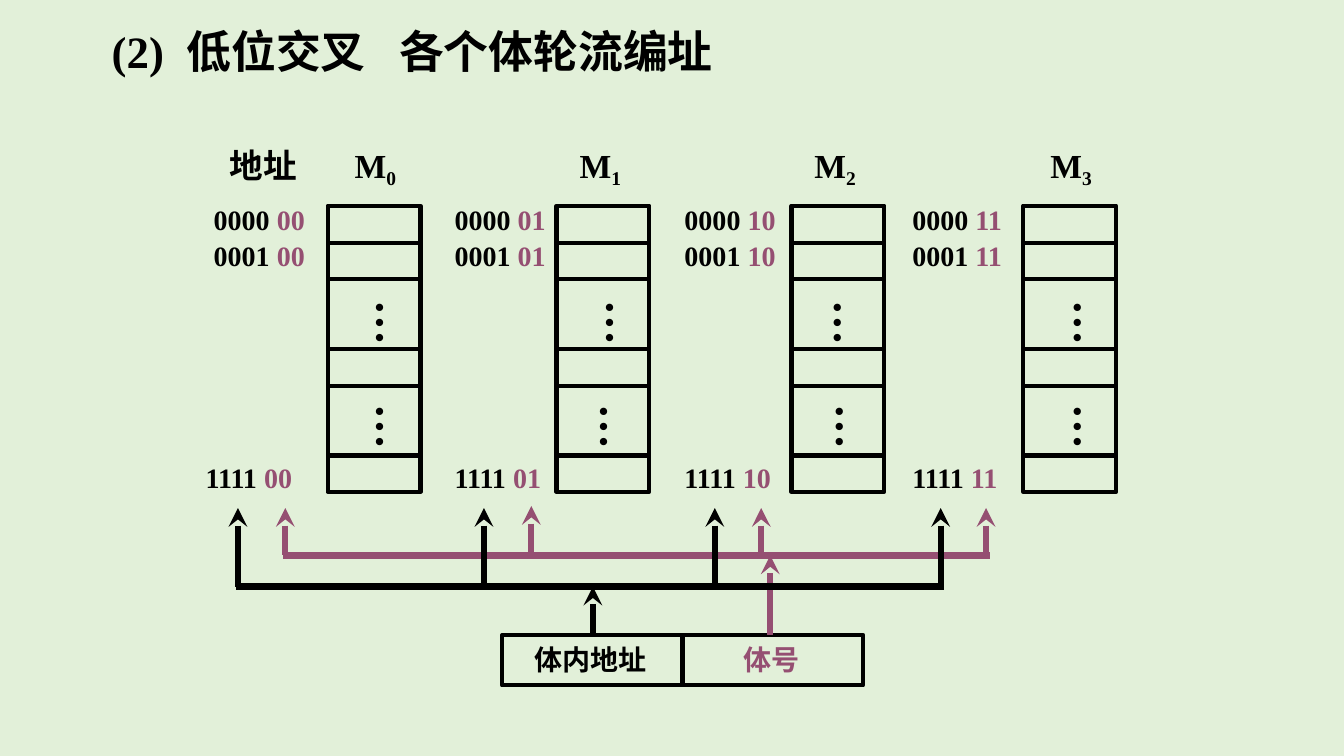
import itertools
import pptx
import pptx.dml.color
import pptx.enum.shapes
import pptx.enum.text
import pptx.oxml.ns
import pptx.util
from lxml import etree

Inches = pptx.util.Inches
COLORS = {"back": "E2F0D9", "ink": "000000", "plum": "954F72"}
FONT = "Times New Roman"


def tint(name):
    return pptx.dml.color.RGBColor.from_string(COLORS[name])


def write(para, text, size=20, color="ink", base=None, gap=None):
    run = para.add_run()
    run.text = text
    font = run.font
    font.name, font.size, font.bold = FONT, pptx.util.Pt(size), True
    font.color.rgb = tint(color)
    props = run._r.get_or_add_rPr()
    if base:
        props.set("baseline", str(base * 1000))
    if gap:
        props.set("spc", str(gap * 100))


class Board:
    def __init__(self, slide, thin=3, thick=4.5):
        self.slide, self.thin, self.thick = slide, thin, thick
        slide.background.fill.solid()
        slide.background.fill.fore_color.rgb = tint("back")

    def text(self, left, top, width, height, *runs, wrap=False, upright=False, inset=0.1):
        box = self.slide.shapes.add_textbox(
            Inches(left), Inches(top), Inches(width), Inches(height))
        frame = box.text_frame
        frame.word_wrap = wrap
        frame.margin_left = Inches(inset)
        frame.auto_size = pptx.enum.text.MSO_AUTO_SIZE.SHAPE_TO_FIT_TEXT
        if upright:
            frame._txBody.bodyPr.set("vert", "eaVert")
        for words, style in runs:
            write(frame.paragraphs[0], words, **style)

    def cell(self, left, top, width, height):
        box = self.slide.shapes.add_shape(
            pptx.enum.shapes.MSO_SHAPE.RECTANGLE,
            Inches(left), Inches(top), Inches(width), Inches(height))
        box.shadow.inherit = False
        box.fill.background()
        box.line.color.rgb = tint("ink")
        box.line.width = pptx.util.Pt(self.thin)

    def line(self, x1, y1, x2, y2, color, arrow=False):
        wire = self.slide.shapes.add_connector(
            pptx.enum.shapes.MSO_CONNECTOR.STRAIGHT,
            Inches(x1), Inches(y1), Inches(x2), Inches(y2))
        wire.line.color.rgb = tint(color)
        wire.line.width = pptx.util.Pt(self.thick)
        name = pptx.oxml.ns.qn
        if arrow:
            etree.SubElement(wire.line._get_or_add_ln(), name("a:headEnd"), type="stealth")
        etree.SubElement(wire._element.spPr, name("a:effectLst"))

    def bus(self, left, right, level, tips, color):
        self.line(left, level, right, level, color)
        for x, top in tips:
            self.line(x, top, x, level, color, arrow=True)


def main():
    deck = pptx.Presentation()
    deck.slide_width, deck.slide_height = Inches(13.33), Inches(7.5)
    board = Board(deck.slides.add_slide(deck.slide_layouts[6]))
    big, mid, plum = {"size": 32}, {"size": 24}, {"color": "plum"}

    board.text(1.01, 0.19, 6.46, 0.63, ("(2)", big), (" ", {"size": 32, "gap": 8}),
               ("低位交叉", big), wrap=True)
    board.text(3.86, 0.19, 6.46, 0.63, ("各个体轮流编址", big), wrap=True)
    board.text(2.18, 1.39, 0.88, 0.51, ("地址", mid))

    edges = [2.04, 2.41, 2.77, 3.46, 3.83, 4.52, 4.88]
    rows = [("0000 ", 1.96), ("0001 ", 2.32), ("1111 ", 4.52)]
    banks = [
        (3.25, 3.42, (3.49, 3.49), (2.02, 2.02, 1.94)),
        (5.52, 5.65, (5.77, 5.71), (4.41, 4.41, 4.41)),
        (7.85, 7.98, (8.03, 8.05), (6.69, 6.69, 6.69)),
        (10.15, 10.32, (10.41, 10.41), (8.95, 8.95, 8.95)),
    ]
    for num, (left, head, dots, lefts) in enumerate(banks):
        board.text(head, 1.39, 0.63, 0.5, ("M", mid), (str(num), {"size": 24, "base": -20}))
        for top, end in itertools.pairwise(edges):
            board.cell(left, top, 0.92, end - top)
        for x, top in zip(dots, (2.88, 3.91)):
            board.text(x, top, 0.74, 0.55, ("…", big), upright=True)
        for x, (high, top) in zip(lefts, rows):
            board.text(x, top, 1.15, 0.43, (high, {}), (f"{num:02b}", plum), wrap=True)

    for left in (6.77, 4.98):
        board.cell(left, 6.3, 1.79, 0.5)
    board.text(6.99, 6.32, 1.05, 0.44, ("体号", plum), inset=0.38)
    board.text(5.2, 6.32, 1.33, 0.44, ("体内地址", {}))

    board.bus(2.81, 9.82, 5.51, [(2.83, 5.04), (5.27, 5.02), (7.55, 5.04), (9.78, 5.04)], "plum")
    board.line(7.64, 5.51, 7.64, 6.3, "plum", arrow=True)
    board.bus(2.34, 9.36, 5.82, [(x, 5.04) for x in (2.36, 4.8, 7.09, 9.33)], "ink")
    board.line(5.88, 5.82, 5.88, 6.3, "ink", arrow=True)

    deck.save("out.pptx")


if __name__ == "__main__":
    main()
